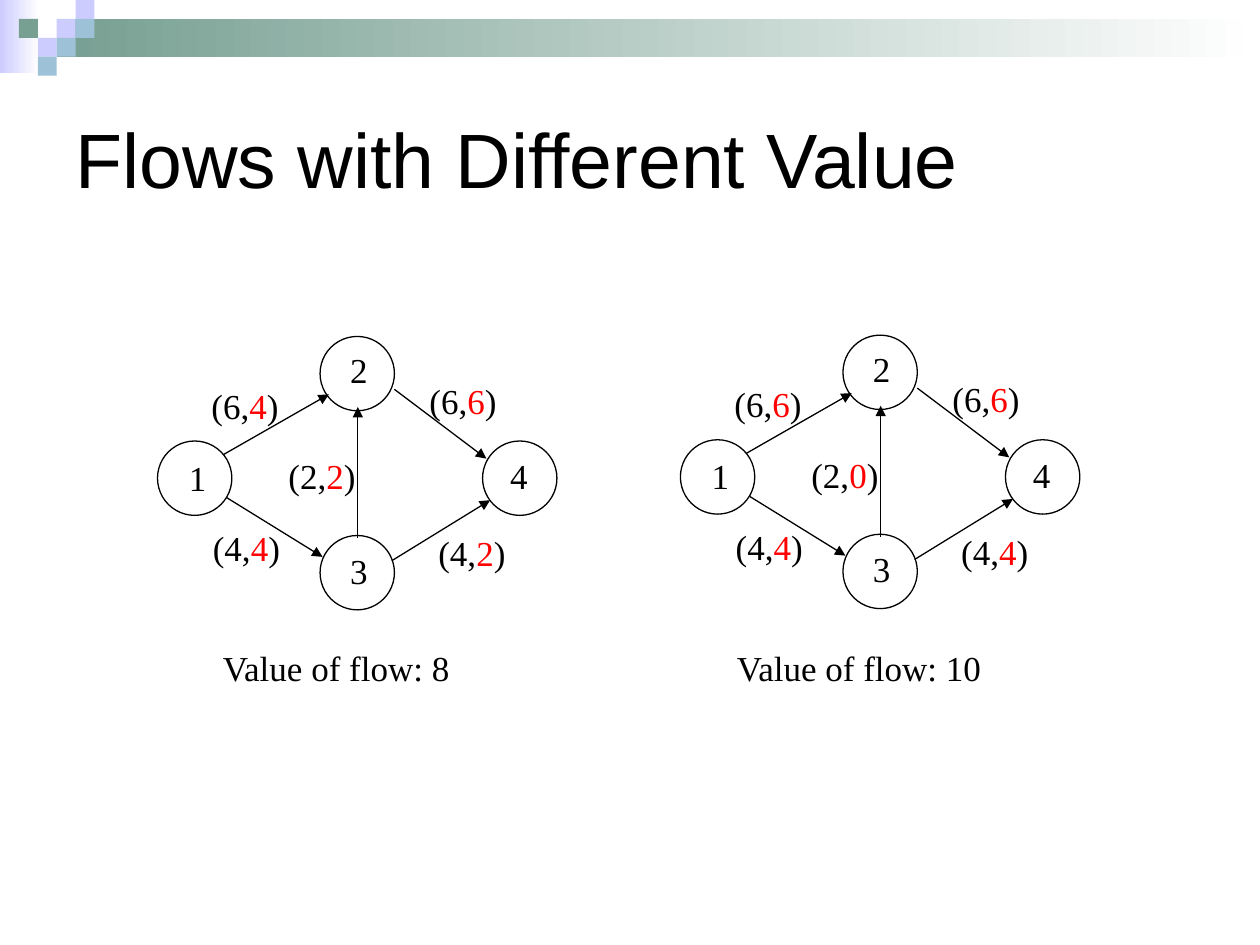
"""Build a slide comparing two flows of different value on one network."""
from lxml import etree
from pptx import Presentation
from pptx.dml.color import RGBColor
from pptx.enum.shapes import MSO_CONNECTOR, MSO_SHAPE
from pptx.enum.text import MSO_ANCHOR
from pptx.oxml.ns import qn
from pptx.util import Inches, Pt

RECT, OVAL = MSO_SHAPE.RECTANGLE, MSO_SHAPE.OVAL
STRAIGHT, MIDDLE = MSO_CONNECTOR.STRAIGHT, MSO_ANCHOR.MIDDLE

THEME = {
    "ink": "000000", "flow": "FF0000", "paper": "FFFFFF",
    "lilac": "CCCCFF", "green": "779F92", "blue": "9DC2D7",
    "title_font": "Arial", "body_font": "Times New Roman",
    "title_size": 44, "body_size": 20, "line": 0.75,
}

TITLE = "Flows with Different Value"
BANDS = [((0, 0, 0.31, 0.58), "lilac"), ((0.45, 0.15, 9.55, 0.3), "green")]
TILE = 0.15
TILES = [(3, 1, "lilac"), (4, 0, "lilac"), (4, 1, "blue"), (2, 2, "lilac"),
         (1, 1, "green"), (3, 2, "blue"), (2, 3, "blue")]

NODE_SIZE, LABEL_HEIGHT = 0.59, 0.44
NODES = [
    ("1", (1.25, 3.5), (1.4, 3.57)),
    ("2", (2.54, 2.67), (2.68, 2.72)),
    ("3", (2.54, 4.25), (2.68, 4.31)),
    ("4", (3.83, 3.5), (3.95, 3.56)),
]
EDGES = [
    (6, (1.77, 3.61), (2.61, 3.13), (1.58, 3)),
    (4, (1.8, 3.95), (2.56, 4.42), (1.59, 4.13)),
    (2, (2.84, 4.27), (2.84, 3.23), (2.19, 3.56)),
    (6, (3.13, 3.09), (3.86, 3.64), (3.31, 2.96)),
    (4, (3.11, 4.45), (3.89, 3.97), (3.38, 4.17)),
]
GRAPHS = [
    {"shift": (0, 0), "flows": [4, 4, 2, 6, 2],
     "caption": "Value of flow: 8", "caption_at": (1.67, 5.08)},
    {"shift": (4.15, -0.01), "flows": [6, 4, 0, 6, 4],
     "caption": "Value of flow: 10", "caption_at": (5.75, 5.08)},
]


def color(name):
    return RGBColor.from_string(THEME[name])


def add_shape(s, kind, box):
    sp = s.shapes.add_shape(kind, *map(Inches, box))
    sp.shadow.inherit = False
    return sp


def add_band(s, box, tint):
    sp = add_shape(s, RECT, box)
    sp.line.fill.background()
    sp.fill.gradient()
    sp.fill.gradient_angle = 0
    for stop, name in zip(sp.fill.gradient_stops, (tint, "paper")):
        stop.color.rgb = color(name)


def add_tile(s, column, row, tint):
    sp = add_shape(s, RECT, (column * TILE, row * TILE, TILE, TILE))
    sp.line.fill.background()
    sp.fill.solid()
    sp.fill.fore_color.rgb = color(tint)


def add_text(s, box, runs, style="body"):
    tf = s.shapes.add_textbox(*map(Inches, box)).text_frame
    tf.word_wrap = True
    p = tf.paragraphs[0]
    for text, tint in runs:
        r = p.add_run()
        r.text = text
        r.font.name = THEME[style + "_font"]
        r.font.size = Pt(THEME[style + "_size"])
        r.font.color.rgb = color(tint)
    return tf


def add_arrow(s, start, end):
    line = s.shapes.add_connector(STRAIGHT, *map(Inches, start + end))
    line.line.color.rgb = color("ink")
    line.line.width = Pt(THEME["line"])
    etree.SubElement(line.line._get_or_add_ln(), qn("a:tailEnd"), type="triangle")
    etree.SubElement(line._element.spPr, qn("a:effectLst"))


def add_graph(s, graph):
    dx, dy = graph["shift"]

    def moved(point):
        return point[0] + dx, point[1] + dy

    for name, corner, label in NODES:
        sp = add_shape(s, OVAL, moved(corner) + (NODE_SIZE, NODE_SIZE))
        sp.fill.background()
        sp.line.color.rgb = color("ink")
        sp.line.width = Pt(THEME["line"])
        add_text(s, moved(label) + (0.5, LABEL_HEIGHT), [(name, "ink")])
    for (capacity, start, end, label), flow in zip(EDGES, graph["flows"]):
        add_arrow(s, moved(start), moved(end))
        runs = [(f"({capacity},", "ink"), (str(flow), "flow"), (")", "ink")]
        add_text(s, moved(label) + (0.92, LABEL_HEIGHT), runs)
    add_text(s, graph["caption_at"] + (3, LABEL_HEIGHT), [(graph["caption"], "ink")])


def main():
    prs = Presentation()
    prs.slide_width, prs.slide_height = Inches(10), Inches(7.5)
    s = prs.slides.add_slide(prs.slide_layouts[6])
    for box, tint in BANDS:
        add_band(s, box, tint)
    for tile in TILES:
        add_tile(s, *tile)
    tf = add_text(s, (0.5, 0.5, 9, 1.5), [(TITLE, "ink")], "title")
    tf.vertical_anchor = MIDDLE
    for graph in GRAPHS:
        add_graph(s, graph)
    prs.save("out.pptx")


if __name__ == "__main__":
    main()
